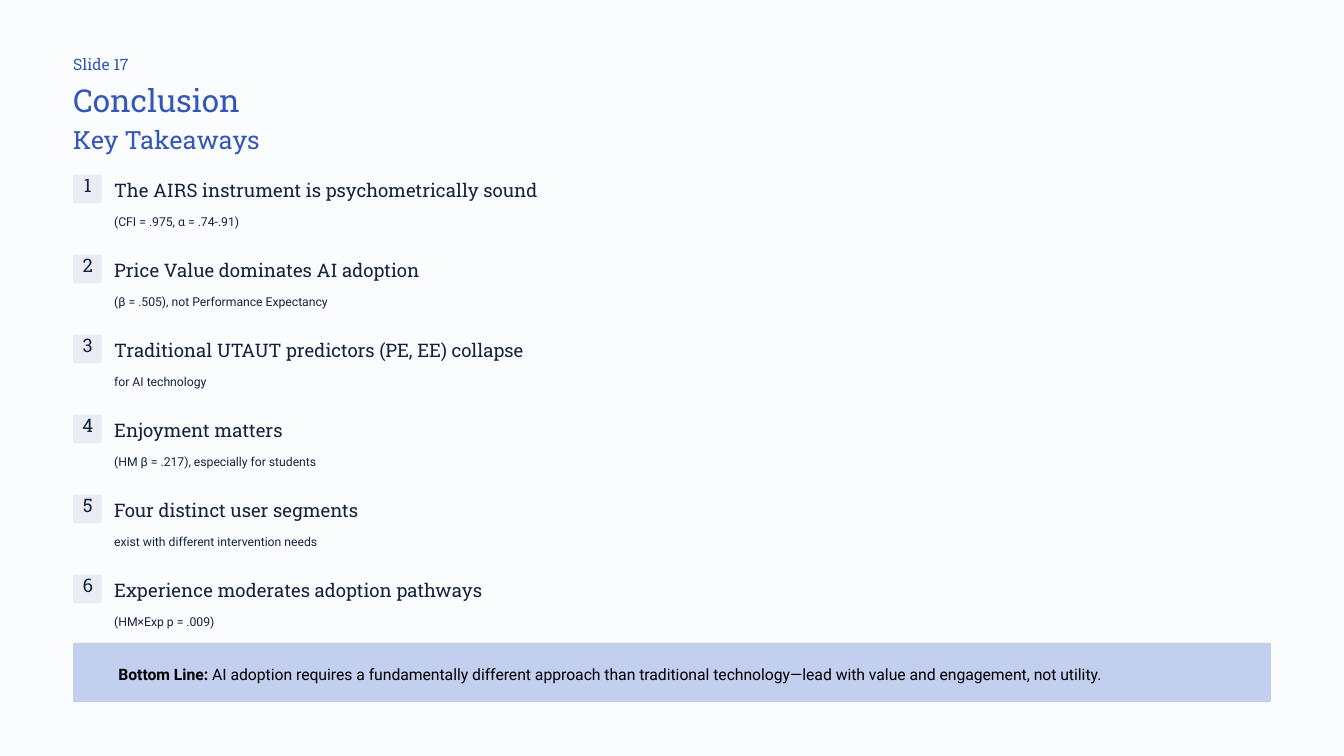
from pptx import Presentation
from pptx.dml.color import RGBColor
from pptx.enum.shapes import MSO_SHAPE
from pptx.enum.text import MSO_ANCHOR, MSO_AUTO_SIZE, PP_ALIGN
from pptx.util import Inches, Pt

ROUNDED = MSO_SHAPE.ROUNDED_RECTANGLE
TOP = MSO_ANCHOR.TOP
NO_AUTOFIT = MSO_AUTO_SIZE.NONE
LEFT, CENTER = PP_ALIGN.LEFT, PP_ALIGN.CENTER

SLAB, SANS = "Roboto Slab", "Roboto"
COLORS = {
    "background": "FBFCFE",
    "heading": "3257B8",
    "text": "15213F",
    "badge": "E9ECF2",
    "banner": "C3CFEF",
    "banner text": "000000",
}

SLIDE_LABEL = "Slide 17"
TITLE = "Conclusion"
SUBTITLE = "Key Takeaways"
TAKEAWAYS = [
    ("The AIRS instrument is psychometrically sound", "(CFI = .975, α = .74-.91)"),
    ("Price Value dominates AI adoption", "(β = .505), not Performance Expectancy"),
    ("Traditional UTAUT predictors (PE, EE) collapse", "for AI technology"),
    ("Enjoyment matters", "(HM β = .217), especially for students"),
    ("Four distinct user segments", "exist with different intervention needs"),
    ("Experience moderates adoption pathways", "(HM×Exp p = .009)"),
]
BOTTOM_LINE = (
    "Bottom Line:",
    " AI adoption requires a fundamentally different approach than traditional "
    "technology—lead with value and engagement, not utility.",
)

MARGIN = 0.87
TEXT_LEFT = 1.36
FIRST_TOP, LAST_TOP = 2.08, 6.84
PITCH = (LAST_TOP - FIRST_TOP) / (len(TAKEAWAYS) - 1)
BADGE = 0.34


def write(holder, text, font, size, spacing, color, align=LEFT):
    """Fill a text holder with one paragraph, free of insets, and return it."""
    frame = holder.text_frame
    frame.margin_left = frame.margin_right = 0
    frame.margin_top = frame.margin_bottom = 0
    frame.vertical_anchor = TOP
    frame.auto_size = NO_AUTOFIT
    frame.word_wrap = True
    paragraph = frame.paragraphs[0]
    paragraph.text = text
    paragraph.alignment = align
    paragraph.line_spacing = Pt(spacing)
    paragraph.font.name = font
    paragraph.font.size = Pt(size)
    paragraph.font.color.rgb = RGBColor.from_string(COLORS[color])
    return paragraph


def add_text(slide, left, top, width, height, *style):
    box = slide.shapes.add_textbox(
        Inches(left), Inches(top), Inches(width), Inches(height))
    return write(box, *style)


def add_panel(slide, left, top, width, height, rounding, color):
    panel = slide.shapes.add_shape(
        ROUNDED, Inches(left), Inches(top), Inches(width), Inches(height))
    panel.adjustments[0] = rounding
    panel.fill.solid()
    panel.fill.fore_color.rgb = RGBColor.from_string(COLORS[color])
    panel.line.fill.background()
    panel.shadow.inherit = False


def add_takeaway(slide, number, heading, detail):
    top = FIRST_TOP + (number - 1) * PITCH
    add_panel(slide, MARGIN, top, BADGE, BADGE, 0.07, "badge")
    add_text(slide, MARGIN + 0.06, top + 0.03, 0.23, 0.28,
             str(number), SLAB, 16, 16, "text", CENTER)
    add_text(slide, TEXT_LEFT, top + 0.03, 5.2, 0.28,
             heading, SLAB, 16, 20.5, "text")
    add_text(slide, TEXT_LEFT, top + 0.4, 13.77, 0.24,
             detail, SANS, 10.5, 17.5, "text")


def main():
    deck = Presentation()
    deck.slide_width, deck.slide_height = Inches(16), Inches(9)
    slide = deck.slides.add_slide(deck.slide_layouts[5])
    slide.background.fill.solid()
    slide.background.fill.fore_color.rgb = RGBColor.from_string(COLORS["background"])

    add_text(slide, MARGIN, 0.64, 1.9, 0.24, SLIDE_LABEL, SLAB, 13.5, 17, "heading")
    title = slide.shapes.title
    title.left, title.top = Inches(MARGIN), Inches(0.94)
    title.width, title.height = Inches(3.8), Inches(0.47)
    write(title, TITLE, SLAB, 27, 34, "heading")
    add_text(slide, MARGIN, 1.47, 3.04, 0.38, SUBTITLE, SLAB, 21.5, 27, "heading")

    for number, (heading, detail) in enumerate(TAKEAWAYS, start=1):
        add_takeaway(slide, number, heading, detail)

    add_panel(slide, MARGIN, 7.65, 14.26, 0.71, 0.03, "banner")
    lead, message = BOTTOM_LINE
    conclusion = add_text(slide, 1.41, 7.84, 13.57, 0.3,
                          lead, SANS, 13.5, 21.5, "banner text")
    conclusion.runs[0].font.bold = True
    conclusion.add_run().text = message

    deck.save("out.pptx")


if __name__ == "__main__":
    main()
